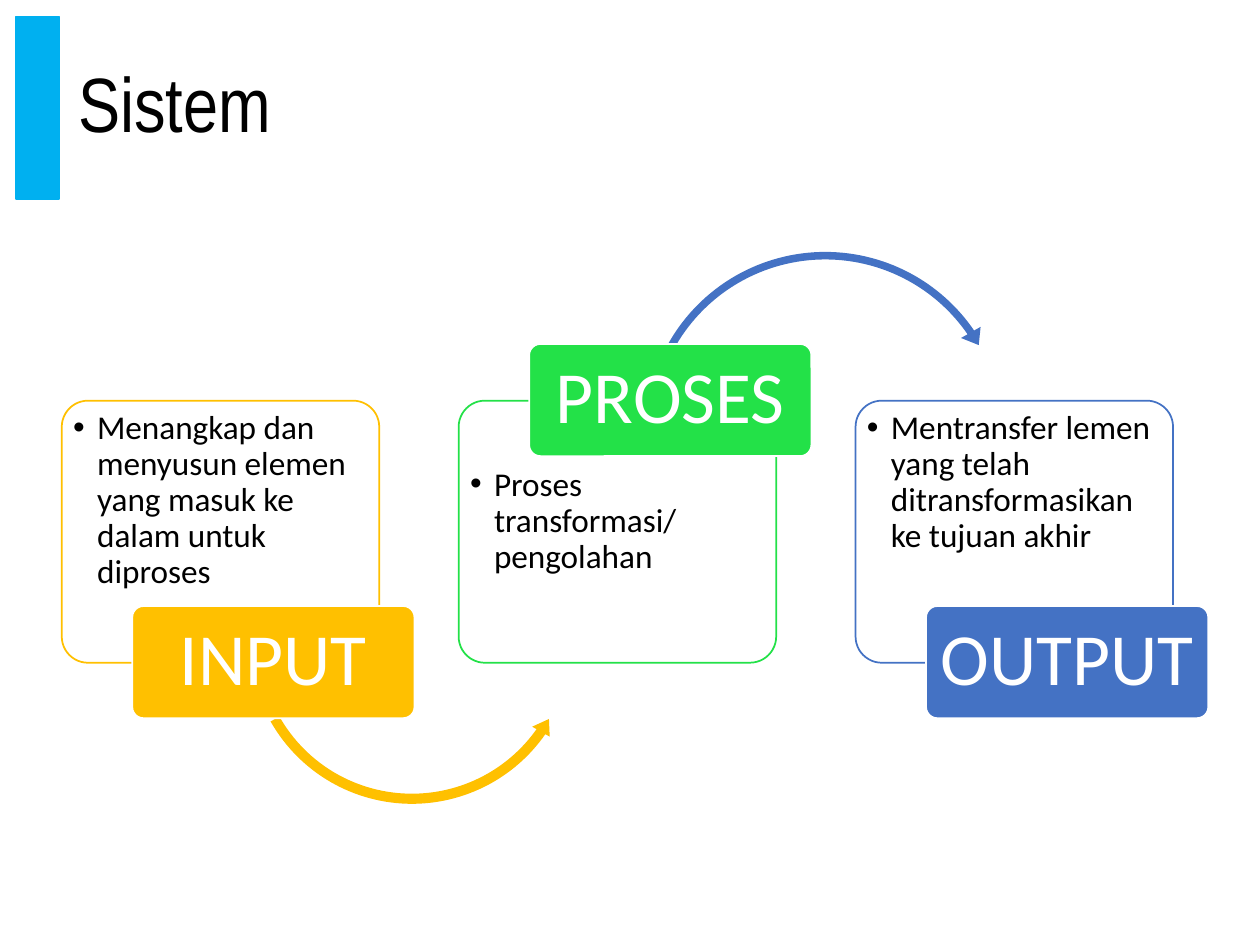
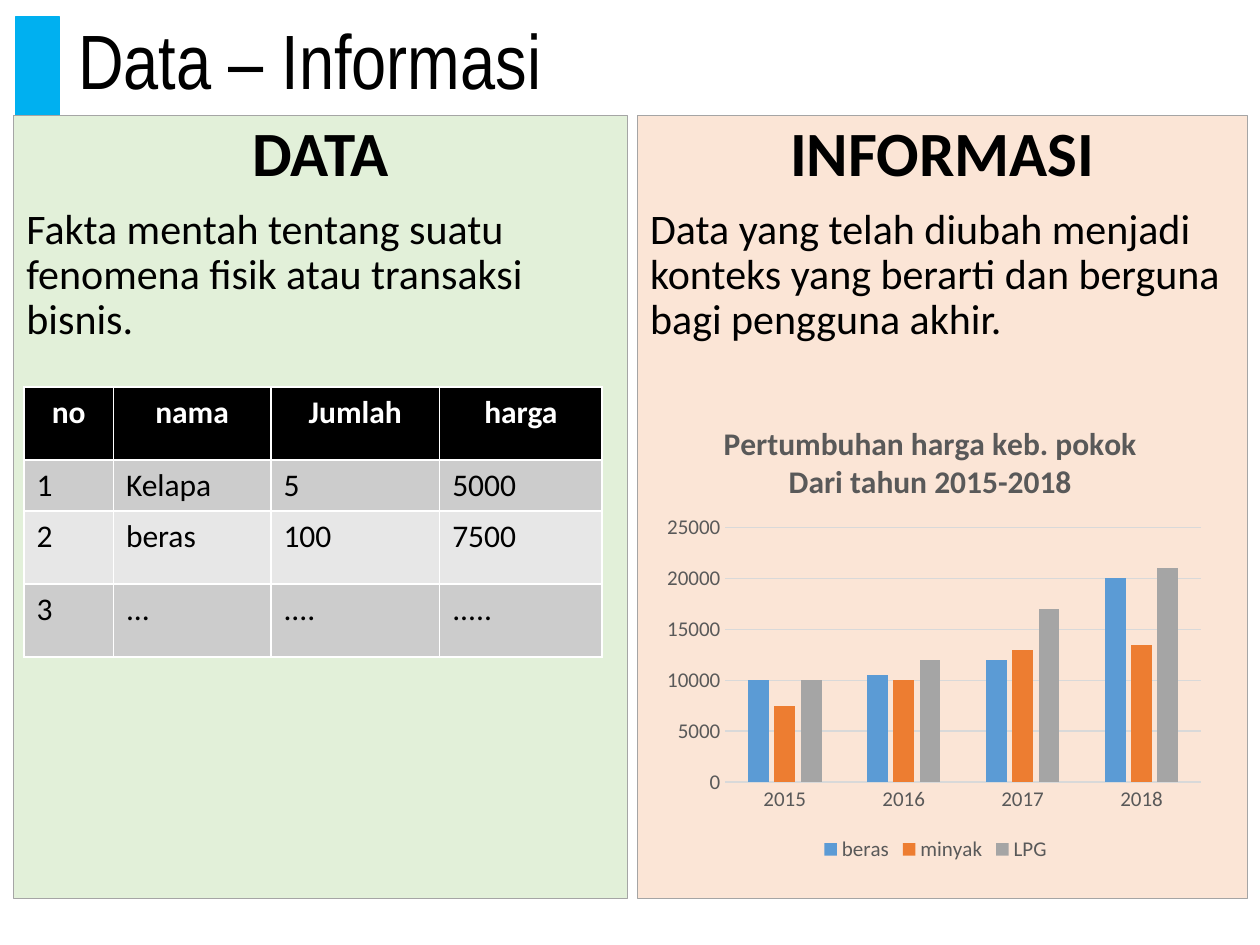
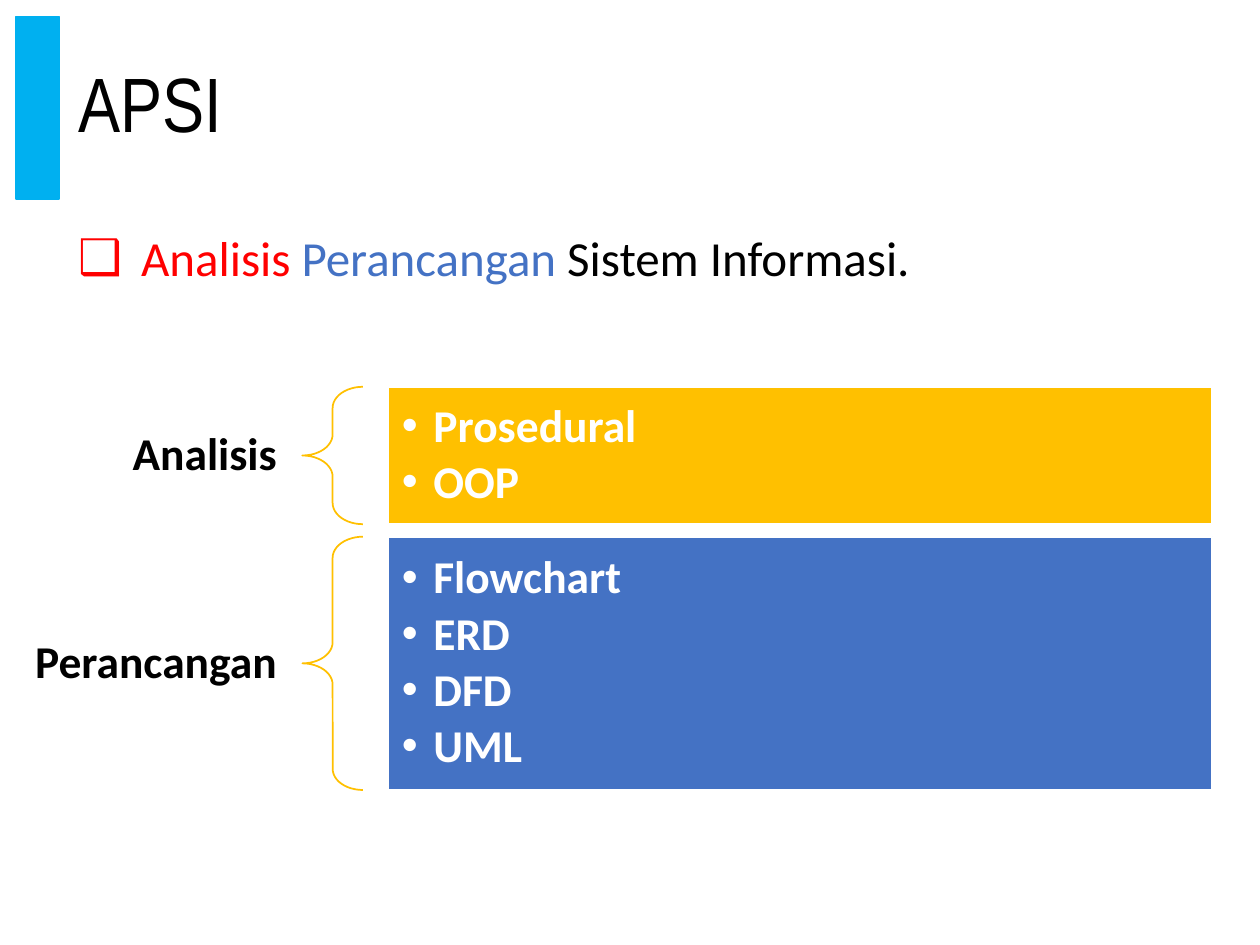
"""Build three slides on systems, data and information, and APSI."""
from lxml.etree import SubElement
from pptx import Presentation
from pptx.chart.data import CategoryChartData
from pptx.dml.color import RGBColor
from pptx.enum.chart import XL_CHART_TYPE, XL_LEGEND_POSITION, XL_TICK_MARK
from pptx.enum.shapes import MSO_SHAPE
from pptx.enum.text import MSO_ANCHOR, MSO_AUTO_SIZE, PP_ALIGN
from pptx.oxml.ns import qn
from pptx.util import Inches, Pt

COLORS = {
    "black": "000000", "white": "FFFFFF", "red": "FF0000",
    "accent": "00B0F0", "gold": "FFC000", "green": "23E148", "blue": "4472C4",
    "data_panel": "E2F0D9", "info_panel": "FBE5D6", "panel_line": "A5A5A5",
    "odd_row": "CCCCCC", "even_row": "E7E7E7",
    "chart_text": "595959", "grid": "D9D9D9",
    "beras": "5B9BD5", "minyak": "ED7D31", "LPG": "A5A5A5",
}
TITLE_FONT, BODY_FONT = "Arial Narrow", "Calibri"
TWO_CONTENT, TITLE_ONLY, TITLE_AND_CONTENT = 3, 5, 1


def color(name):
    """Return the named colour of the palette."""
    return RGBColor.from_string(COLORS[name])


def paint(shape, fill=None, line=None, width=1):
    """Set the fill and outline of a shape."""
    if fill:
        shape.fill.solid()
        shape.fill.fore_color.rgb = color(fill)
    else:
        shape.fill.background()
    if line:
        shape.line.color.rgb = color(line)
        shape.line.width = Pt(width)
    else:
        shape.line.fill.background()


def place(shape, left, top, width, height):
    """Move and size a shape, in inches."""
    shape.left, shape.top = Inches(left), Inches(top)
    shape.width, shape.height = Inches(width), Inches(height)


def add_shape(slide, kind, box, fill=None, line=None, adjustments=()):
    """Add a flat preset shape."""
    shape = slide.shapes.add_shape(kind, *map(Inches, box))
    shape.shadow.inherit = False
    paint(shape, fill, line)
    for index, value in enumerate(adjustments):
        shape.adjustments[index] = value
    return shape


def set_frame(frame, margins, anchor=MSO_ANCHOR.TOP, wrap=True):
    """Set the wrapping, anchor and (left, top, right, bottom) margins."""
    frame.word_wrap = wrap
    frame.auto_size = MSO_AUTO_SIZE.NONE
    frame.vertical_anchor = anchor
    (frame.margin_left, frame.margin_top,
     frame.margin_right, frame.margin_bottom) = map(Inches, margins)


def style_font(font, size, ink="black", bold=False, name=BODY_FONT):
    """Set the face, size, weight and colour of a font."""
    font.name, font.size, font.bold = name, Pt(size), bold
    font.color.rgb = color(ink)


def write(frame, runs, size, bold=False, align=PP_ALIGN.LEFT, before=0, after=0,
          bullet=None, indent=0, name=BODY_FONT):
    """Write one paragraph from (text, colour) runs."""
    paragraph = frame.add_paragraph() if frame.text else frame.paragraphs[0]
    paragraph.alignment = align
    paragraph.line_spacing = 0.9
    paragraph.space_before, paragraph.space_after = Pt(before), Pt(after)
    for text, ink in runs:
        run = paragraph.add_run()
        run.text = text
        style_font(run.font, size, ink, bold, name)
    properties = paragraph._p.get_or_add_pPr()
    properties.set("marL", str(Inches(indent)))
    properties.set("indent", str(-Inches(indent)))
    if bullet:
        SubElement(properties, qn("a:buFont")).set("typeface", "Arial")
        SubElement(properties, qn("a:buChar")).set("char", bullet)
    else:
        SubElement(properties, qn("a:buNone"))


def add_slide(presentation, layout, title, anchor=MSO_ANCHOR.MIDDLE):
    """Add a slide with the shared title style."""
    slide = presentation.slides.add_slide(presentation.slide_layouts[layout])
    place(slide.shapes.title, 0.52, 0.13, 9.1, 1.45)
    frame = slide.shapes.title.text_frame
    set_frame(frame, (0.1, 0.05, 0.1, 0.05), anchor)
    write(frame, [(title, "black")], 44, name=TITLE_FONT)
    return slide


def add_master_bar(presentation, slide):
    """Put the accent bar on the slide master."""
    bar = add_shape(slide, MSO_SHAPE.RECTANGLE, (0.13, 0.13, 0.34, 1.45), "accent", "accent")
    presentation.slide_master.shapes._spTree.append(bar._element)


def add_stage(slide, left, label, description, ink, label_on_top=False):
    """Add a described card with its overlapping label."""
    top = 3.18
    card = add_shape(slide, MSO_SHAPE.ROUNDED_RECTANGLE, (left, top, 2.52, 2.08),
                     "white", ink, (0.1,))
    set_frame(card.text_frame, (0.03, 0.47 if label_on_top else 0.02, 0.03, 0.03))
    write(card.text_frame, [(description, "black")], 19, bullet="•", indent=0.19)
    label_top = top + (-0.45 if label_on_top else 1.63)
    tag = add_shape(slide, MSO_SHAPE.ROUNDED_RECTANGLE, (left + 0.56, label_top, 2.24, 0.89),
                    ink, "white", (0.1,))
    set_frame(tag.text_frame, (0.09, 0.06, 0.09, 0.06), MSO_ANCHOR.MIDDLE, wrap=False)
    write(tag.text_frame, [(label, "white")], 42, align=PP_ALIGN.CENTER)


def fill_panel(placeholder, box, fill, heading, definition):
    """Turn a body placeholder into a coloured definition panel."""
    place(placeholder, *box)
    paint(placeholder, fill, "panel_line", 0.5)
    frame = placeholder.text_frame
    set_frame(frame, (0.1, 0.05, 0.1, 0.05))
    write(frame, [(heading, "black")], 36, bold=True, align=PP_ALIGN.CENTER, before=10)
    write(frame, [(definition, "black")], 24, before=10)


def add_goods_table(slide, rows, widths, heights):
    """Add the table of goods with a black header."""
    table = slide.shapes.add_table(
        len(rows), len(widths), Inches(0.19), Inches(3.07),
        Inches(sum(widths)), Inches(sum(heights))).table
    for column, width in zip(table.columns, widths):
        column.width = Inches(width)
    for index, (values, height) in enumerate(zip(rows, heights)):
        table.rows[index].height = Inches(height)
        header = index == 0
        fill = "black" if header else "odd_row" if index % 2 else "even_row"
        for cell, value in zip(table.rows[index].cells, values):
            cell.fill.solid()
            cell.fill.fore_color.rgb = color(fill)
            paragraph = cell.text_frame.paragraphs[0]
            paragraph.alignment = PP_ALIGN.CENTER if header else PP_ALIGN.LEFT
            run = paragraph.add_run()
            run.text = value
            style_font(run.font, 18, "white" if header else "black", header)


def set_layout(parent, index, **fractions):
    """Give a chart part a manual layout, in fractions of the chart."""
    for old_layout in parent.findall(qn("c:layout")):
        parent.remove(old_layout)
    layout = SubElement(parent, qn("c:layout"))
    parent.insert(index, layout)
    manual = SubElement(layout, qn("c:manualLayout"))
    if "w" in fractions:
        SubElement(manual, qn("c:layoutTarget")).set("val", "inner")
    for mode in ("xMode", "yMode"):
        SubElement(manual, qn(f"c:{mode}")).set("val", "edge")
    for key, value in fractions.items():
        SubElement(manual, qn(f"c:{key}")).set("val", str(value))


def add_price_chart(slide, title_lines, years, prices):
    """Add the clustered column chart of prices."""
    data = CategoryChartData()
    data.categories = years
    for name, values in prices.items():
        data.add_series(name, values)
    chart = slide.shapes.add_chart(
        XL_CHART_TYPE.COLUMN_CLUSTERED, Inches(5.23), Inches(3.14),
        Inches(4.39), Inches(3.74), data).chart
    style_font(chart.font, 12, "chart_text")

    chart.has_title = True
    frame = chart.chart_title.text_frame
    for index, line in enumerate(title_lines):
        paragraph = frame.add_paragraph() if index else frame.paragraphs[0]
        run = paragraph.add_run()
        run.text = line
        style_font(run.font, 18, "chart_text", bold=True)
    set_layout(chart.chart_title._element, 1, x=0.11, y=0.05)

    chart.has_legend = True
    chart.legend.position = XL_LEGEND_POSITION.BOTTOM
    chart.legend.include_in_layout = False

    plot = chart.plots[0]
    plot.gap_width, plot.overlap, plot.vary_by_categories = 219, -27, False
    for series in plot.series:
        series.format.fill.solid()
        series.format.fill.fore_color.rgb = color(series.name)
    set_layout(plot._element.getparent(), 0, x=0.12, y=0.28, w=0.86, h=0.54)

    for axis in (chart.category_axis, chart.value_axis):
        axis.major_tick_mark = axis.minor_tick_mark = XL_TICK_MARK.NONE
    value_axis = chart.value_axis
    value_axis.minimum_scale, value_axis.maximum_scale = 0, 25000
    value_axis.major_unit = 5000
    value_axis.format.line.fill.background()
    for line in (chart.category_axis.format.line, value_axis.major_gridlines.format.line):
        line.color.rgb = color("grid")
        line.width = Pt(0.75)


def add_method_group(slide, top, height, label, methods, fill):
    """Add a label, a brace and a box of methods."""
    caption = slide.shapes.add_textbox(Inches(0), Inches(top), Inches(2.4), Inches(height))
    set_frame(caption.text_frame, (0.2, 0.07, 0.2, 0.07), MSO_ANCHOR.MIDDLE)
    write(caption.text_frame, [(label, "black")], 26, bold=True, align=PP_ALIGN.RIGHT)
    add_shape(slide, MSO_SHAPE.LEFT_BRACE, (2.4, top, 0.48, height),
              line="gold", adjustments=(0.35, 0.5))
    box = add_shape(slide, MSO_SHAPE.RECTANGLE, (3.08, top, 6.54, height), fill, "white")
    set_frame(box.text_frame, (0.11,) * 4, MSO_ANCHOR.MIDDLE)
    for method in methods:
        write(box.text_frame, [(method, "white")], 26, bold=True, after=4,
              bullet="•", indent=0.25)


def build_system_slide(presentation):
    """Build the input, process and output slide."""
    slide = add_slide(presentation, TITLE_ONLY, "Sistem")
    add_master_bar(presentation, slide)
    add_shape(slide, MSO_SHAPE.LEFT_CIRCULAR_ARROW, (1.94, 3.76, 2.66, 2.66), "gold",
              adjustments=(0.03, 3.27, 21.02, 90.25, 0.03))
    add_shape(slide, MSO_SHAPE.CIRCULAR_ARROW, (5.06, 1.94, 2.98, 2.98), "blue",
              adjustments=(0.02, 2.9, 195.35, 125.76, 0.03))
    stages = [
        ("INPUT", "Menangkap dan menyusun elemen yang masuk ke dalam untuk diproses", "gold"),
        ("PROSES", "Proses transformasi/ pengolahan", "green"),
        ("OUTPUT", "Mentransfer lemen yang telah ditransformasikan ke tujuan akhir", "blue"),
    ]
    for index, (label, description, ink) in enumerate(stages):
        add_stage(slide, 0.49 + 3.15 * index, label, description, ink, index % 2 == 1)


def build_information_slide(presentation):
    """Build the data and information slide."""
    slide = add_slide(presentation, TWO_CONTENT, "Data – Informasi", MSO_ANCHOR.TOP)
    fill_panel(slide.placeholders[1], (0.11, 0.92, 4.87, 6.21), "data_panel", "DATA",
               "Fakta mentah tentang suatu fenomena fisik atau transaksi bisnis.")
    fill_panel(slide.placeholders[2], (5.06, 0.92, 4.84, 6.21), "info_panel", "INFORMASI",
               "Data yang telah diubah menjadi konteks yang berarti dan berguna "
               "bagi pengguna akhir.")
    add_goods_table(slide, [
        ("no", "nama", "Jumlah", "harga"),
        ("1", "Kelapa", "5", "5000"),
        ("2", "beras", "100", "7500"),
        ("3", "...", "....", "....."),
    ], (0.71, 1.25, 1.34, 1.29), (0.58, 0.4, 0.58, 0.58))
    add_price_chart(
        slide, ("Pertumbuhan harga keb. pokok", "Dari tahun 2015-2018"),
        ("2015", "2016", "2017", "2018"), {
            "beras": (10000, 10500, 12000, 20000),
            "minyak": (7500, 10000, 13000, 13500),
            "LPG": (10000, 12000, 17000, 21000),
        })


def build_apsi_slide(presentation):
    """Build the analysis and design methods slide."""
    slide = add_slide(presentation, TITLE_AND_CONTENT, "APSI")
    body = slide.placeholders[1]
    place(body, 0.52, 1.81, 9.1, 5.31)
    set_frame(body.text_frame, (0.1, 0.05, 0.1, 0.05))
    write(body.text_frame,
          [("Analisis ", "red"), ("Perancangan", "blue"), (" Sistem Informasi.", "black")],
          28, before=10, bullet="❑", indent=0.5)
    add_method_group(slide, 3.07, 1.09, "Analisis", ("Prosedural", "OOP"), "gold")
    add_method_group(slide, 4.26, 2.01, "Perancangan",
                     ("Flowchart", "ERD", "DFD", "UML"), "blue")


def main():
    """Build and save the presentation."""
    presentation = Presentation()
    presentation.slide_width, presentation.slide_height = Inches(10), Inches(7.5)
    build_system_slide(presentation)
    build_information_slide(presentation)
    build_apsi_slide(presentation)
    presentation.save("out.pptx")


if __name__ == "__main__":
    main()
